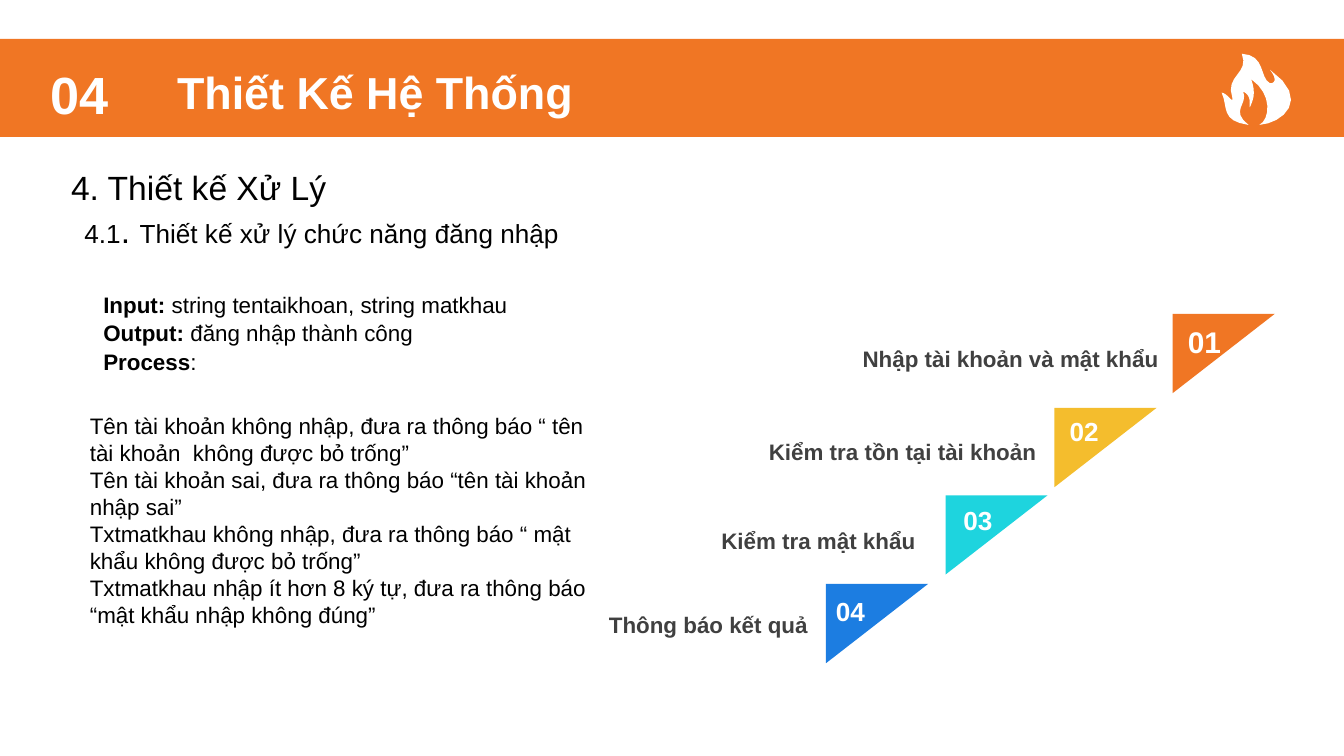
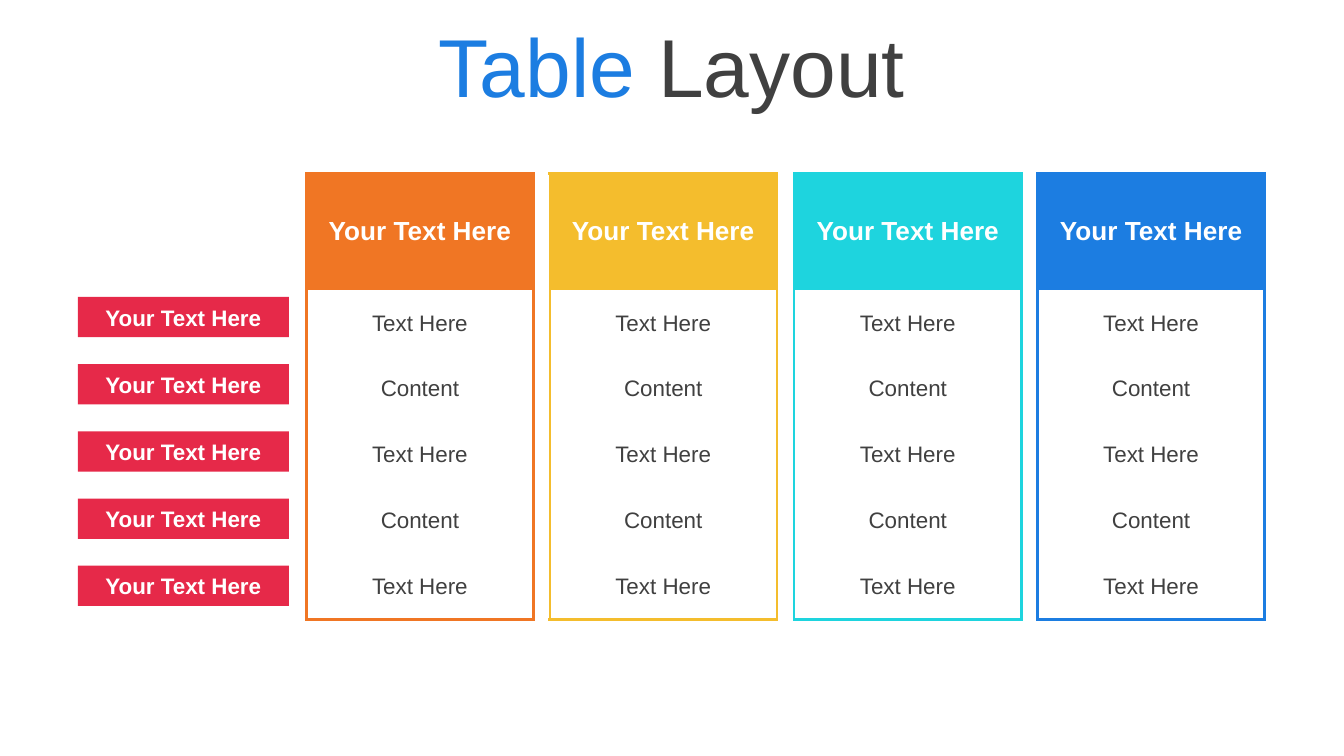
from lxml import etree
from pptx import Presentation
from pptx.dml.color import RGBColor
from pptx.enum.shapes import MSO_SHAPE
from pptx.enum.text import MSO_ANCHOR, MSO_AUTO_SIZE, PP_ALIGN
from pptx.oxml.ns import qn
from pptx.util import Emu, Pt

PX = 9144
WIDE = 1000
HIGH = WIDE * 9 / 16
FONT = "Arial"
RECT, WEDGE = MSO_SHAPE.RECTANGLE, MSO_SHAPE.RIGHT_TRIANGLE
LEFT, MID, RIGHT = PP_ALIGN.LEFT, PP_ALIGN.CENTER, PP_ALIGN.RIGHT
TOP, CORE = MSO_ANCHOR.TOP, MSO_ANCHOR.MIDDLE
GROW = MSO_AUTO_SIZE.SHAPE_TO_FIT_TEXT
NO_STYLE = "{2D5ABB26-0587-4C30-8999-92F81FD0307C}"

ORANGE = RGBColor(0xF0, 0x76, 0x24)
YELLOW = RGBColor(0xF4, 0xBD, 0x2D)
CYAN = RGBColor(0x1E, 0xD4, 0xDE)
BLUE = RGBColor(0x1C, 0x7D, 0xE1)
RED = RGBColor(0xE6, 0x29, 0x49)
GRAY = RGBColor(0x40, 0x40, 0x40)
BLACK = RGBColor(0, 0, 0)
WHITE = RGBColor(0xFF, 0xFF, 0xFF)
HUES = [ORANGE, YELLOW, CYAN, BLUE]

BOLD = {"bold": True}
HEAD = [("4.1", {"size": 14}), (". ", {"size": 18}),
        ("Thiết kế xử lý chức năng đăng nhập", {"size": 14})]
FACTS = [
    [("Input:", BOLD), (" string tentaikhoan, string matkhau", {})],
    [("Output:", BOLD), (" đăng nhập thành công", {})],
    [("Process", BOLD), (":", {})],
]
RULES = [
    "Tên tài khoản không nhập, đưa ra thông báo “ tên tài khoản  không được bỏ trống”",
    "Tên tài khoản sai, đưa ra thông báo “tên tài khoản nhập sai”",
    "Txtmatkhau không nhập, đưa ra thông báo “ mật  khẩu không được bỏ trống”",
    "Txtmatkhau nhập ít hơn 8 ký tự, đưa ra thông báo “mật khẩu nhập không đúng”",
]
STEPS = [
    ("Nhập tài khoản và mật khẩu", (604, 252), (881, 225), (874, 241, 58, 27), 16),
    ("Kiểm tra tồn tại tài khoản", (513, 321), (793, 295), (786, 309, 92, 24), 14),
    ("Kiểm tra mật khẩu", (423, 387), (712, 360), (707, 375, 94, 24), 14),
    ("Thông báo kết quả", (343, 450), (623, 426), (612, 443, 55, 24), 14),
]
FLAME = [
    (929, 93),
    (908, 90, 914, 80, 909, 69), (913, 69, 918, 78, 917, 73),
    (911, 56, 930, 55, 924, 40), (942, 41, 937, 58, 945, 62),
    (948, 62, 951, 60, 945, 52), (976, 74, 954, 92, 937, 93),
    (945, 89, 947, 70, 931, 59), (935, 70, 932, 75, 930, 80),
    (929, 77, 932, 72, 925, 68), (929, 78, 915, 82, 929, 93),
]
TITLE = [("Table", {"color": BLUE}), (" Layout", {})]
LABEL = "Your Text Here"
CELLS = ["Text Here", "Content", "Text Here", "Content", "Text Here"]


def emu(*nums):
    return [Emu(round(n * PX)) for n in nums]


def style(font, size=None, color=None, bold=None):
    if size:
        font.size = Pt(size)
    if color is not None:
        font.color.rgb = color
    if bold is not None:
        font.bold = bold


def write(frame, paras, size, color, bold=False, align=LEFT, hang=0, gap=None):
    for i, runs in enumerate(paras):
        para = frame.paragraphs[0] if i == 0 else frame.add_paragraph()
        para.alignment = align
        if hang:
            props = para._p.get_or_add_pPr()
            props.set("marL", str(hang * PX))
            props.set("indent", str(-hang * PX))
        if gap:
            para.line_spacing = gap
        para.font.name = FONT
        style(para.font, size, color, bold)
        if isinstance(runs, str):
            runs = [(runs, {})]
        for words, look in runs:
            run = para.add_run()
            run.text = words
            if look:
                style(run.font, **look)


def text(slide, box, paras, size, color, anchor=TOP, pad=5, grow=True, **look):
    frame = slide.shapes.add_textbox(*emu(*box)).text_frame
    frame.word_wrap = True
    frame.vertical_anchor = anchor
    frame.margin_top, frame.margin_bottom = emu(pad, pad)
    if grow:
        frame.auto_size = GROW
    write(frame, paras, size, color, **look)


def paint(shape, color):
    shape.shadow.inherit = False
    shape.fill.solid()
    shape.fill.fore_color.rgb = color
    shape.line.fill.background()
    return shape


def block(slide, kind, box, color):
    return paint(slide.shapes.add_shape(kind, *emu(*box)), color)


def trace(slide, start, curves, color, cuts=8):
    dots, (x, y) = [], start
    for a, b, c, d, e, f in curves:
        for n in range(1, cuts + 1):
            t = n / cuts
            u = 1 - t
            k = u ** 3, 3 * u * u * t, 3 * u * t * t, t ** 3
            dots.append(emu(k[0] * x + k[1] * a + k[2] * c + k[3] * e,
                            k[0] * y + k[1] * b + k[2] * d + k[3] * f))
        x, y = e, f
    pen = slide.shapes.build_freeform(*emu(*start))
    pen.add_line_segments(dots, close=True)
    paint(pen.convert_to_shape(), color)


def edge(cell, sides, color):
    props = cell._tc.get_or_add_tcPr()
    for side in sides:
        line = etree.SubElement(props, qn("a:ln" + side), w=str(Pt(1.5)))
        fill = etree.SubElement(line, qn("a:solidFill"))
        etree.SubElement(fill, qn("a:srgbClr"), val=str(color))


def column(slide, left, color):
    rows = [LABEL] + CELLS
    grid = slide.shapes.add_table(len(rows), 1, *emu(left, 129, 169, 332)).table
    grid.first_row = grid.horz_banding = False
    grid._tbl.tblPr.find(qn("a:tableStyleId")).text = NO_STYLE
    for i, words in enumerate(rows):
        top = i == 0
        grid.rows[i].height = emu(87 if top else 49)[0]
        cell = grid.cell(i, 0)
        cell.vertical_anchor = CORE
        edge(cell, "LRT" if top else "LRB" if i == len(CELLS) else "LR", color)
        if top:
            cell.fill.solid()
            cell.fill.fore_color.rgb = color
        else:
            cell.fill.background()
        write(cell.text_frame, [words], 14 if top else 12,
              WHITE if top else GRAY, bold=top, align=MID)


def design(slide):
    block(slide, RECT, (0, 29, WIDE, 73), ORANGE)
    trace(slide, FLAME[0], FLAME[1:], WHITE)
    text(slide, (28, 46, 66, 47), ["04"], 28, WHITE, CORE, 0, bold=True)
    text(slide, (122, 43, 536, 50), ["Thiết Kế Hệ Thống"], 24, WHITE, bold=True)
    text(slide, (43, 119, 402, 40), ["4. Thiết kế Xử Lý"], 18, BLACK)
    text(slide, (53, 151, 512, 71), [HEAD], 14, BLACK)
    text(slide, (67, 210, 362, 93), FACTS, 12, BLACK, hang=40, gap=1.07)
    text(slide, (57, 302, 392, 192), RULES, 12, BLACK)
    for i, (words, spot, tip, box, size) in enumerate(STEPS):
        block(slide, WEDGE, (*tip, 59, 76), HUES[i]).rotation = 90
        text(slide, box, [f"{i + 1:02}"], size, WHITE, CORE, 0, bold=True)
        text(slide, (*spot, 268, 30), [words], 12, GRAY, bold=True, align=RIGHT)


def layout(slide):
    text(slide, (0, 0, WIDE, 97), [TITLE], 44, GRAY, CORE, grow=False, align=MID)
    for i, color in enumerate(HUES):
        column(slide, 228 + round(i * 544 / 3), color)
    for i in range(len(CELLS)):
        tag = block(slide, RECT, (58, 221 + i * 50, 157, 30), RED)
        tag.text_frame.vertical_anchor = CORE
        write(tag.text_frame, [LABEL], 12, WHITE, bold=True, align=MID)


def main():
    deck = Presentation()
    deck.slide_width, deck.slide_height = emu(WIDE, HIGH)
    for draw in (design, layout):
        draw(deck.slides.add_slide(deck.slide_layouts[6]))
    deck.save("out.pptx")


if __name__ == "__main__":
    main()
